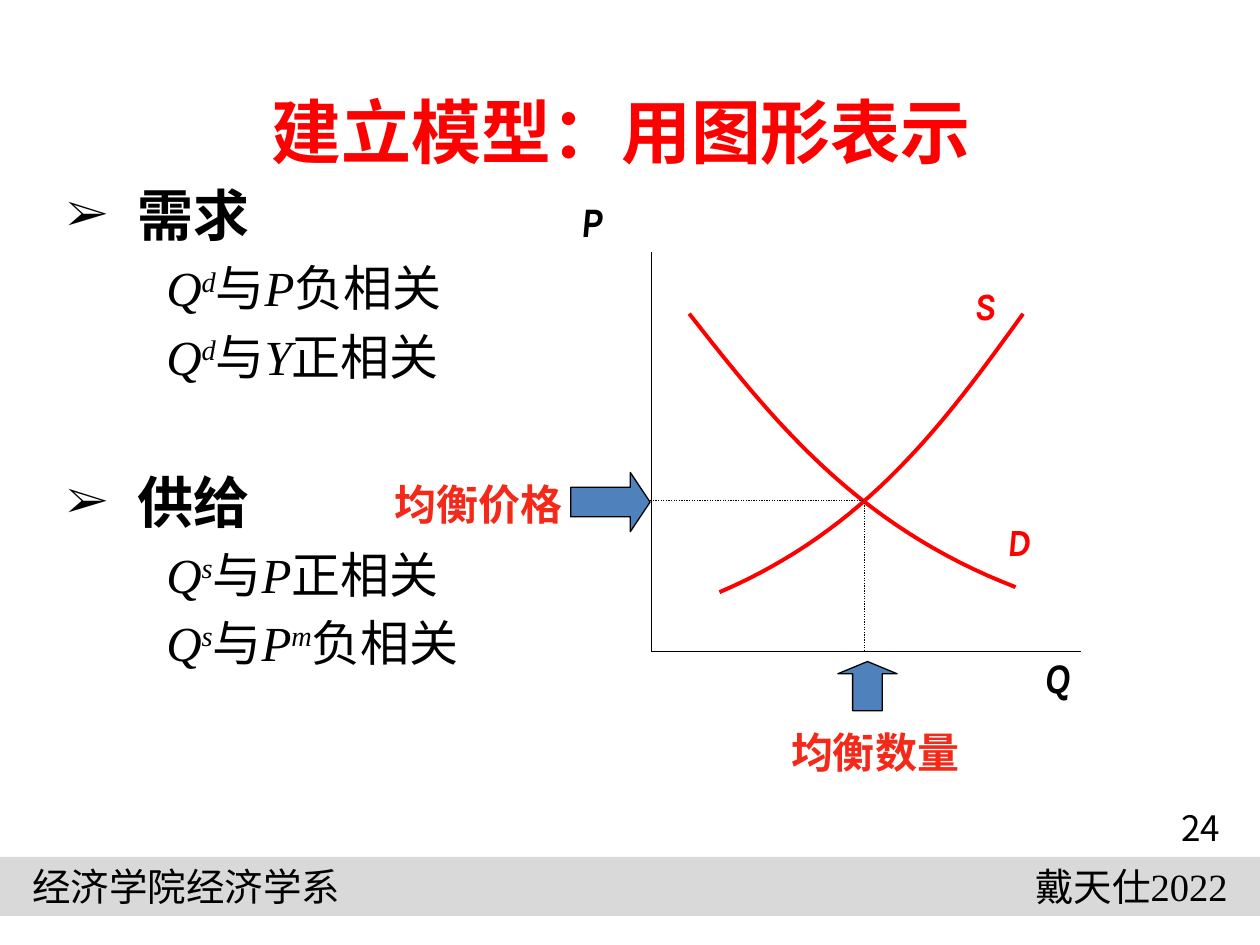
from lxml import etree
from pptx import Presentation
from pptx import util as u
from pptx.dml.color import RGBColor
from pptx.enum import dml, shapes, text
from pptx.oxml import ns


class SlideBuilder:
    colors = {
        "ink": "000000",
        "red": "FF0000",
        "label": "F52919",
        "arrow": "4F81BD",
        "band": "D9D9D9",
    }
    serif = "Times New Roman"
    sans = "Noto Sans CJK SC"
    symbol = "Karla"

    def __init__(self, deck):
        self.page = deck.slides.add_slide(deck.slide_layouts[1])

    def color(self, name):
        return RGBColor.from_string(self.colors[name])

    def place(self, item, left, top, width, height):
        item.left, item.top = u.Inches(left), u.Inches(top)
        item.width, item.height = u.Inches(width), u.Inches(height)

    def style(self, span, font, size, color="ink", bold=False, italic=False):
        span.font.name = font
        span.font.size = u.Pt(size)
        span.font.color.rgb = self.color(color)
        span.font.bold = bold
        span.font.italic = italic

    def stroke(self, item, color="ink", width=0.75):
        item.line.color.rgb = self.color(color)
        item.line.width = u.Pt(width)

    def title(self, words, *area):
        box = self.page.shapes.title
        self.place(box, *area)
        frame = box.text_frame
        frame.text = words
        frame.vertical_anchor = text.MSO_ANCHOR.MIDDLE
        frame.paragraphs[0].alignment = text.PP_ALIGN.CENTER
        self.style(frame.paragraphs[0].runs[0], self.serif, 40, "red", bold=True)

    def body(self, sections, *area):
        box = self.page.placeholders[1]
        self.place(box, *area)
        frame = box.text_frame
        frame.auto_size = text.MSO_AUTO_SIZE.NONE
        para = frame.paragraphs[0]
        for index, (heading, relations) in enumerate(sections):
            if index:
                para = frame.add_paragraph()
            self.heading(para, heading, 48.7 if index else 7.6)
            for relation in relations:
                self.relation(frame.add_paragraph(), relation)

    def layout(self, para, margin, indent, before, line, bullet=None):
        para.space_before = u.Pt(before)
        para.line_spacing = u.Pt(line)
        props = para._p.get_or_add_pPr()
        props.set("marL", str(u.Inches(margin)))
        props.set("indent", str(u.Inches(indent)))
        if bullet:
            etree.SubElement(props, ns.qn("a:buSzPct"), val="80000")
            etree.SubElement(props, ns.qn("a:buFont"), typeface=self.serif)
            etree.SubElement(props, ns.qn("a:buChar"), char=bullet)
        else:
            etree.SubElement(props, ns.qn("a:buNone"))

    def heading(self, para, words, before):
        para.text = words
        self.layout(para, 0.56, -0.56, before, 36.7, "➢")
        self.style(para.runs[0], self.serif, 32, bold=True)

    def relation(self, para, parts):
        para.level = 1
        self.layout(para, 0.2, 0.59, 5.6, 33.5)
        for words, kind in parts:
            span = para.add_run()
            span.text = words
            self.style(span, self.serif, 28, italic=kind != "word")
            if kind == "super":
                span.font._element.set("baseline", "30000")

    def label(self, words, area, font, size, color="ink", align="LEFT",
              anchor="TOP", bold=True, italic=False):
        box = self.page.shapes.add_textbox(*map(u.Inches, area))
        frame = box.text_frame
        frame.word_wrap = True
        frame.text = words
        frame.vertical_anchor = text.MSO_ANCHOR[anchor]
        para = frame.paragraphs[0]
        para.alignment = text.PP_ALIGN[align]
        self.style(para.runs[0], font, size, color, bold, italic)

    def shape(self, kind, area, fill, adjustments=()):
        item = self.page.shapes.add_shape(kind, *map(u.Inches, area))
        item.shadow.inherit = False
        item.fill.solid()
        item.fill.fore_color.rgb = self.color(fill)
        for index, value in enumerate(adjustments):
            item.adjustments[index] = value
        return item

    def band(self, *area):
        self.shape(shapes.MSO_SHAPE.RECTANGLE, area, "band").line.fill.background()

    def arrow(self, kind, area, head):
        self.stroke(self.shape(kind, area, "arrow", (0.5, head)))

    def line(self, start, end, dotted=False):
        item = self.page.shapes.add_connector(
            shapes.MSO_CONNECTOR.STRAIGHT, *map(u.Inches, start + end))
        self.stroke(item)
        if dotted:
            item.line.dash_style = dml.MSO_LINE.ROUND_DOT
        etree.SubElement(item._element.spPr, ns.qn("a:effectLst"))

    def curve(self, *controls, steps=32):
        points = []
        for step in range(steps + 1):
            t = step / steps
            weights = ((1 - t) ** 3, 3 * t * (1 - t) ** 2, 3 * t * t * (1 - t), t ** 3)
            points.append(tuple(
                u.Inches(sum(w * point[axis] for w, point in zip(weights, controls)))
                for axis in (0, 1)))
        builder = self.page.shapes.build_freeform(*points[0])
        builder.add_line_segments(points[1:], close=False)
        item = builder.convert_to_shape()
        item.shadow.inherit = False
        item.fill.background()
        self.stroke(item, "red", 2.25)


def related(quantity, factor, direction, factor_super=None):
    parts = [("Q", "symbol"), (quantity, "super"), ("与", "word"), (factor, "symbol")]
    if factor_super:
        parts.append((factor_super, "super"))
    return parts + [(direction, "word")]


def main():
    deck = Presentation()
    deck.slide_width, deck.slide_height = u.Inches(10), u.Inches(7.5)
    slide = SlideBuilder(deck)

    slide.band(0, 6.8, 10, 0.47)
    slide.label("经济学院经济学系", (0.16, 6.8, 3.05, 0.47), slide.sans, 22, bold=False)
    slide.label("戴天仕2022", (7.42, 6.8, 2.42, 0.47), slide.serif, 22,
                align="RIGHT", bold=False)
    slide.title("建立模型：用图形表示", 0.43, 0.6, 9, 0.87)
    slide.body([
        ("需求", [related("d", "P", "负相关"), related("d", "Y", "正相关")]),
        ("供给", [related("s", "P", "正相关"), related("s", "P", "负相关", "m")]),
    ], 0.43, 1.41, 9.04, 5.2)
    slide.label("24", (9.06, 6.33, 0.94, 0.47), slide.sans, 20,
                align="CENTER", anchor="MIDDLE", bold=False)

    origin = (5.17, 5.17)
    slide.line((5.17, 2), origin)
    slide.line(origin, (8.58, 5.17))
    slide.curve((5.47, 2.49), (6.13, 3.33), (6.79, 4.17), (8.06, 4.66))
    slide.curve((8.12, 2.49), (7.5, 3.35), (6.88, 4.2), (5.71, 4.7))
    for name, area, size, color, align in (
        ("Q", (8.19, 5.12, 0.79, 0.51), 24, "ink", "LEFT"),
        ("P", (3.92, 1.5, 0.96, 0.51), 24, "ink", "RIGHT"),
        ("D", (7.89, 4.06, 0.5, 0.47), 22, "red", "LEFT"),
        ("S", (7.63, 2.19, 0.49, 0.47), 22, "red", "LEFT"),
    ):
        slide.label(name, area, slide.symbol, size, color, align, italic=True)

    slide.arrow(shapes.MSO_SHAPE.RIGHT_ARROW, (4.53, 3.75, 0.63, 0.47), 0.334)
    slide.arrow(shapes.MSO_SHAPE.UP_ARROW, (6.65, 5.25, 0.47, 0.39), 0.25)
    slide.label("均衡价格", (3.03, 3.75, 1.57, 0.5), "Arial", 24, "label")
    slide.label("均衡数量", (6.18, 5.72, 1.57, 0.5), "Arial", 24, "label")
    slide.line((6.85, 3.97), (5.16, 3.97), dotted=True)
    slide.line((6.86, 3.99), (6.86, 5.17), dotted=True)

    deck.save("out.pptx")


if __name__ == "__main__":
    main()
